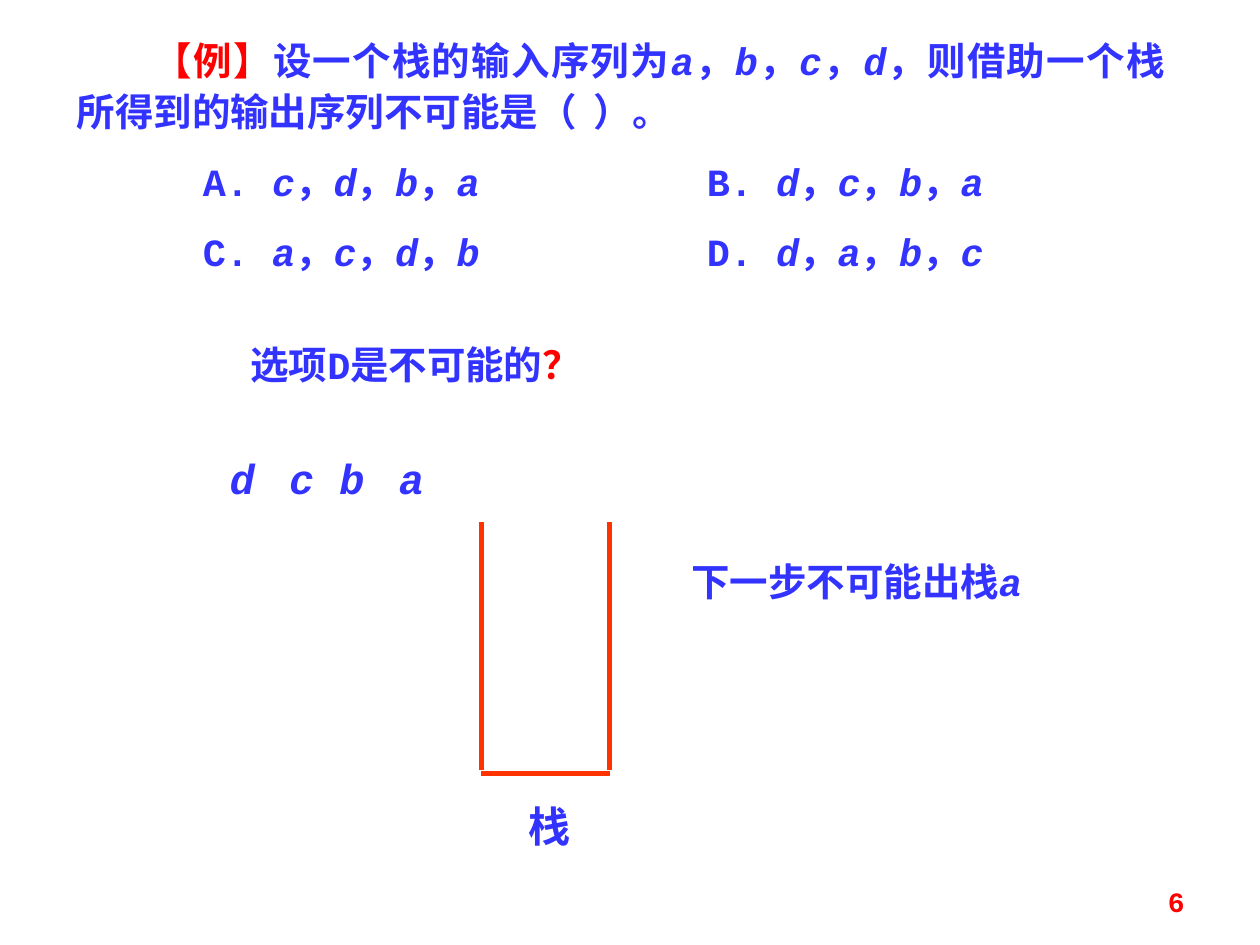
import itertools

import pptx
import pptx.dml.color
import pptx.enum.shapes
import pptx.enum.text
import pptx.oxml
import pptx.oxml.ns
import pptx.util
from pptx.util import Cm

BLUE = pptx.dml.color.RGBColor(0x33, 0x33, 0xFF)
RED = pptx.dml.color.RGBColor(0xFF, 0x00, 0x00)
ORANGE = pptx.dml.color.RGBColor(0xFF, 0x33, 0x00)
FONT = "Courier New"
RED_CHARS = "【例】？"
ALIGN = pptx.enum.text.PP_ALIGN
ANCHOR = pptx.enum.text.MSO_ANCHOR
FIT = pptx.enum.text.MSO_AUTO_SIZE

prs = pptx.Presentation()
prs.slide_width, prs.slide_height = Cm(25.4), Cm(19.05)
s = prs.slides.add_slide(prs.slide_layouts[6])


def add_text(text, left, top, width, height, size=22, align=ALIGN.CENTER,
             color=BLUE, inset=None, spacing=None, anchor=ANCHOR.TOP,
             fit=FIT.SHAPE_TO_FIT_TEXT):
    """Add a text box; lower-case letters are italic, RED_CHARS are red."""
    sp = s.shapes.add_textbox(Cm(left), Cm(top), Cm(width), Cm(height))
    tf = sp.text_frame
    tf.word_wrap = True
    tf.auto_size = fit
    tf.vertical_anchor = anchor
    if inset is not None:
        tf.margin_left = tf.margin_right = Cm(inset)
        tf.margin_top = tf.margin_bottom = Cm(inset)
    for i, line in enumerate(text.split("\n")):
        p = tf.add_paragraph() if i else tf.paragraphs[0]
        p.alignment = align
        if spacing:
            p.line_spacing = spacing
        if i:
            p.space_before = pptx.util.Pt(size / 2)
        styles = itertools.groupby(line, lambda c: (c.islower(), c in RED_CHARS))
        for (italic, red), chars in styles:
            r = p.add_run()
            r.text = "".join(chars)
            r.font.name = FONT
            r.font.size = pptx.util.Pt(size)
            r.font.bold = True
            r.font.italic = italic
            r.font.color.rgb = RED if red else color
    return sp


# Question with its four options
question = add_text(
    "【例】设一个栈的输入序列为a，b，c，d，则借助一个栈所得到的输出序列不可能是（  ）。\n"
    "\tA. c，d，b，a\t\tB. d，c，b，a\n"
    "\tC. a，c，d，b\t\tD. d，a，b，c",
    1.3, 0.53, 22.43, 5.33, align=ALIGN.JUSTIFY, spacing=1.1)
first, *options = question.text_frame.paragraphs
first._p.get_or_add_pPr().set("indent", str(Cm(1.55)))
for p in options:
    tabs = pptx.oxml.parse_xml(
        "<a:tabLst %s/>" % pptx.oxml.ns.nsdecls("a"))
    for n in range(1, 6):
        tab = tabs.makeelement(pptx.oxml.ns.qn("a:tab"),
                               {"pos": str(Cm(2.54 * n)), "algn": "l"})
        tabs.append(tab)
    p._p.get_or_add_pPr().append(tabs)

# Stack: two walls and a floor
LEFT, RIGHT, TOP, BOTTOM, FLOOR = 9.7, 12.29, 10.52, 15.52, 15.6
for x1, y1, x2, y2 in [(LEFT, TOP, LEFT, BOTTOM),
                       (RIGHT, TOP, RIGHT, BOTTOM),
                       (LEFT, FLOOR, RIGHT, FLOOR)]:
    line = s.shapes.add_connector(pptx.enum.shapes.MSO_CONNECTOR.STRAIGHT,
                                  Cm(x1), Cm(y1), Cm(x2), Cm(y2))
    line.line.color.rgb = ORANGE
    line.line.width = pptx.util.Pt(3)
    line._element.spPr.append(pptx.oxml.parse_xml(
        "<a:effectLst %s/>" % pptx.oxml.ns.nsdecls("a")))

# Waiting elements and the stack's label
for text, left, top in [("a", 7.7, 9.12), ("b", 6.5, 9.12), ("c", 5.49, 9.12),
                        ("d", 4.29, 9.12), ("栈", 10.49, 16.13)]:
    add_text(text, left, top, 1.19, 1.02, size=24, inset=0)

# Answer and reason
add_text("选项D是不可能的？", 3.58, 6.76, 9.6, 1.19)
add_text("下一步不可能出栈a", 13.69, 11.13, 8.81, 1.19, align=ALIGN.LEFT)

# Page number
add_text("6", 18.21, 17.65, 5.92, 1.02, size=16, align=ALIGN.RIGHT, color=RED,
         anchor=ANCHOR.MIDDLE, fit=FIT.NONE)

prs.save("out.pptx")
